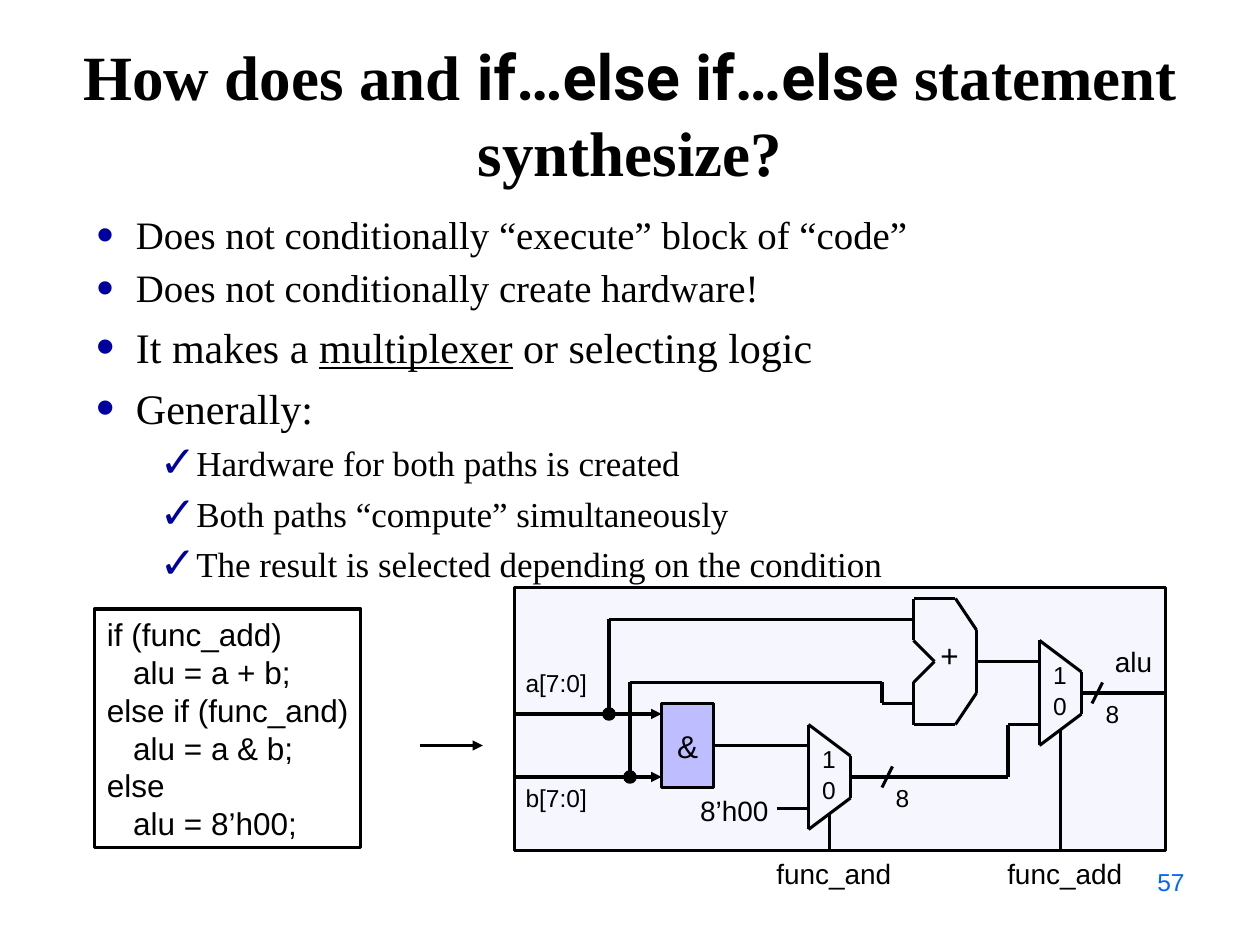
"""Build the slide on how an if-else chain synthesizes into multiplexers."""
from dataclasses import dataclass

from lxml import etree
from pptx import Presentation
from pptx.dml.color import RGBColor
from pptx.enum.shapes import MSO_CONNECTOR, MSO_SHAPE
from pptx.enum.text import MSO_ANCHOR, MSO_AUTO_SIZE, PP_ALIGN
from pptx.oxml.ns import qn
from pptx.util import Emu, Pt

STRAIGHT = MSO_CONNECTOR.STRAIGHT
RECTANGLE, OVAL = MSO_SHAPE.RECTANGLE, MSO_SHAPE.OVAL
TOP, MIDDLE, BOTTOM = MSO_ANCHOR.TOP, MSO_ANCHOR.MIDDLE, MSO_ANCHOR.BOTTOM
NO_FIT, GROW = MSO_AUTO_SIZE.NONE, MSO_AUTO_SIZE.SHAPE_TO_FIT_TEXT
LEFT, CENTER, RIGHT = PP_ALIGN.LEFT, PP_ALIGN.CENTER, PP_ALIGN.RIGHT
EMU_PER_PX = 9525
RIGHT_SIDE = 3


@dataclass(frozen=True)
class Theme:
    ink: str = "000000"
    bullet: str = "0000A0"
    block: str = "6969FF"
    page: str = "0066FF"
    serif: str = "Times New Roman"
    sans: str = "Arial"
    keyword: str = "Roboto"
    title: float = 36
    lead: float = 22.2
    point: float = 24
    check: float = 20
    code: float = 18
    signal: float = 16
    small: float = 14
    stroke: float = 1.75


@dataclass(frozen=True)
class Box:
    left: int
    top: int
    width: int
    height: int


@dataclass(frozen=True)
class Bullet:
    text: str
    size: float
    level: int = 0
    spacing: float = 1.0
    underlined: str = ""


@dataclass(frozen=True)
class Label:
    text: str
    box: Box
    size: float


THEME = Theme()
TITLE = (("How does and", THEME.serif), (" if…else if…else ", THEME.keyword),
         ("statement synthesize?", THEME.serif))
BULLETS = (
    Bullet("Does not conditionally “execute” block of “code”", THEME.lead, spacing=0.9),
    Bullet("Does not conditionally create hardware!", THEME.lead, spacing=0.9),
    Bullet("It makes a multiplexer or selecting logic", THEME.point, underlined="multiplexer"),
    Bullet("Generally:", THEME.point),
    Bullet("Hardware for both paths is created", THEME.check, 1),
    Bullet("Both paths “compute” simultaneously", THEME.check, 1),
    Bullet("The result is selected depending on the condition", THEME.check, 1),
)
LEVELS = ((78, -30, "•", 6), (120, -24, "✓", 5))
CODE = ("if (func_add)", "   alu = a + b;", "else if (func_and)",
        "   alu = a & b;", "else", "   alu = 8’h00;")
ADDER = ((696, 456), (728, 456), (744, 480), (744, 528), (728, 552),
         (696, 552), (696, 520), (712, 504), (696, 488), (696, 456))
MUXES = ((792, 488), (616, 552))
INPUT_ROWS = (544, 592)
WIRES = (
    ADDER,
    ((464, 544), (464, 472), (696, 472)),
    ((480, 592), (480, 520), (672, 520), (672, 536), (696, 536)),
    ((744, 504), (792, 504)),
    ((648, 592), (768, 592), (768, 552), (792, 552)),
    ((592, 616), (616, 616)),
    ((824, 528), (888, 528)),
    ((832, 536), (840, 520)),
    ((672, 600), (680, 584)),
)
JUNCTIONS = ((464, 544), (480, 592))
LABELS = (
    Label("+", Box(707, 480, 33, 38), THEME.code),
    Label("8", Box(833, 528, 30, 33), THEME.small),
    Label("8", Box(673, 592, 30, 33), THEME.small),
    Label("a[7:0]", Box(391, 504, 66, 33), THEME.small),
    Label("b[7:0]", Box(391, 592, 66, 33), THEME.small),
    Label("8’h00", Box(524, 600, 71, 36), THEME.signal),
    Label("alu", Box(840, 486, 49, 36), THEME.signal),
    Label("func_and", Box(582, 648, 107, 36), THEME.signal),
    Label("func_add", Box(758, 648, 107, 36), THEME.signal),
)


def px(value: int) -> Emu:
    return Emu(value * EMU_PER_PX)


def place(box: Box) -> tuple:
    return px(box.left), px(box.top), px(box.width), px(box.height)


def move(shape, box: Box) -> None:
    shape.left, shape.top, shape.width, shape.height = place(box)


def style_font(font, size: float, name: str, color: str = THEME.ink) -> None:
    font.size, font.name = Pt(size), name
    font.color.rgb = RGBColor.from_string(color)


def style_line(line) -> None:
    line.color.rgb = RGBColor.from_string(THEME.ink)
    line.width = Pt(THEME.stroke)


def add_block(slide, kind, box: Box, fill: str = "", alpha: int = 100):
    shape = slide.shapes.add_shape(kind, *place(box))
    shape.shadow.inherit = False
    style_line(shape.line)
    if not fill:
        shape.fill.background()
        return shape
    shape.fill.solid()
    shape.fill.fore_color.rgb = RGBColor.from_string(fill)
    if alpha < 100:
        color = shape.fill._xPr.find(qn("a:solidFill"))[0]
        etree.SubElement(color, qn("a:alpha"), val=str(alpha * 1000))
    return shape


def add_line(slide, start: tuple, end: tuple, arrow: bool = False):
    connector = slide.shapes.add_connector(STRAIGHT, *map(px, start + end))
    style_line(connector.line)
    if arrow:
        etree.SubElement(connector.line._get_or_add_ln(), qn("a:tailEnd"), type="triangle")
    etree.SubElement(connector._element.spPr, qn("a:effectLst"))
    return connector


def add_wire(slide, points: tuple) -> None:
    for start, end in zip(points, points[1:]):
        add_line(slide, start, end)


def write_lines(shape, lines: tuple, size: float, align=LEFT, color: str = THEME.ink) -> None:
    frame = shape.text_frame
    frame.text = "\n".join(lines)
    for para in frame.paragraphs:
        para.alignment = align
        style_font(para.font, size, THEME.sans, color)


def add_label(slide, label: Label) -> None:
    shape = slide.shapes.add_textbox(*place(label.box))
    write_lines(shape, (label.text,), label.size)
    shape.text_frame.word_wrap = False
    shape.text_frame.auto_size = GROW


def add_mux(slide, left: int, top: int) -> None:
    add_wire(slide, ((left, top), (left + 32, top + 24), (left + 32, top + 56),
                     (left, top + 80), (left, top)))
    add_line(slide, (left + 16, top + 68), (left + 16, 648))
    for digit, offset in (("1", 10), ("0", 34)):
        add_label(slide, Label(digit, Box(left + 1, top + offset, 30, 33), THEME.small))


def fill_title(shape) -> None:
    move(shape, Box(48, 29, 864, 120))
    frame = shape.text_frame
    frame.vertical_anchor, frame.auto_size = BOTTOM, NO_FIT
    para = frame.paragraphs[0]
    para.alignment = CENTER
    style_font(para.font, THEME.title, THEME.serif)
    para.font.bold = True
    for text, name in TITLE:
        span = para.add_run()
        span.text, span.font.name = text, name


def fill_bullet(para, bullet: Bullet, first: bool) -> None:
    margin, indent, mark, before = LEVELS[bullet.level]
    para.level = bullet.level
    props = para._p.get_or_add_pPr()
    props.set("marL", str(px(margin)))
    props.set("indent", str(px(indent)))
    color = etree.SubElement(props, qn("a:buClr"))
    etree.SubElement(color, qn("a:srgbClr"), val=THEME.bullet)
    etree.SubElement(props, qn("a:buSzPct"), val="125000")
    etree.SubElement(props, qn("a:buChar"), char=mark)
    para.line_spacing = bullet.spacing
    para.space_before = Pt(0 if first else before)
    style_font(para.font, bullet.size, THEME.serif)
    head, key, rest = bullet.text.partition(bullet.underlined or bullet.text)
    for text in filter(None, (head, key, rest)):
        span = para.add_run()
        span.text = text
        if text == bullet.underlined:
            span.font.underline = True


def fill_body(shape) -> None:
    move(shape, Box(16, 160, 880, 296))
    frame = shape.text_frame
    frame.vertical_anchor, frame.auto_size = TOP, NO_FIT
    for index, bullet in enumerate(BULLETS):
        para = frame.add_paragraph() if index else frame.paragraphs[0]
        fill_bullet(para, bullet, index == 0)


def add_code(slide) -> None:
    shape = add_block(slide, RECTANGLE, Box(72, 464, 203, 182))
    write_lines(shape, CODE, THEME.code)
    shape.text_frame.vertical_anchor = TOP
    shape.text_frame.word_wrap = False
    for para in shape.text_frame.paragraphs:
        para.line_spacing = Pt(21.6)


def add_circuit(slide) -> None:
    add_block(slide, RECTANGLE, Box(392, 448, 496, 200), THEME.block, 6)
    for corner in MUXES:
        add_mux(slide, *corner)
    gate = add_block(slide, RECTANGLE, Box(504, 536, 40, 64), THEME.block, 40)
    write_lines(gate, ("&",), THEME.code, CENTER)
    gate.text_frame.vertical_anchor = MIDDLE
    gate.text_frame.word_wrap = False
    add_line(slide, (544, 568), (616, 568)).begin_connect(gate, RIGHT_SIDE)
    for row in INPUT_ROWS:
        add_line(slide, (392, row), (504, row), arrow=True)
    for wire in WIRES:
        add_wire(slide, wire)
    for x, y in JUNCTIONS:
        add_block(slide, OVAL, Box(x - 4, y - 4, 8, 8), THEME.ink)
    for label in LABELS:
        add_label(slide, label)


def main() -> None:
    deck = Presentation()
    deck.slide_width, deck.slide_height = px(960), px(720)
    slide = deck.slides.add_slide(deck.slide_layouts[1])
    fill_title(slide.shapes.title)
    fill_body(slide.placeholders[1])
    add_code(slide)
    add_circuit(slide)
    add_line(slide, (320, 568), (368, 568), arrow=True)
    number = slide.shapes.add_textbox(*place(Box(688, 656, 224, 50)))
    number.text_frame.word_wrap = True
    write_lines(number, ("57",), THEME.small, RIGHT, THEME.page)
    deck.save("out.pptx")


if __name__ == "__main__":
    main()
